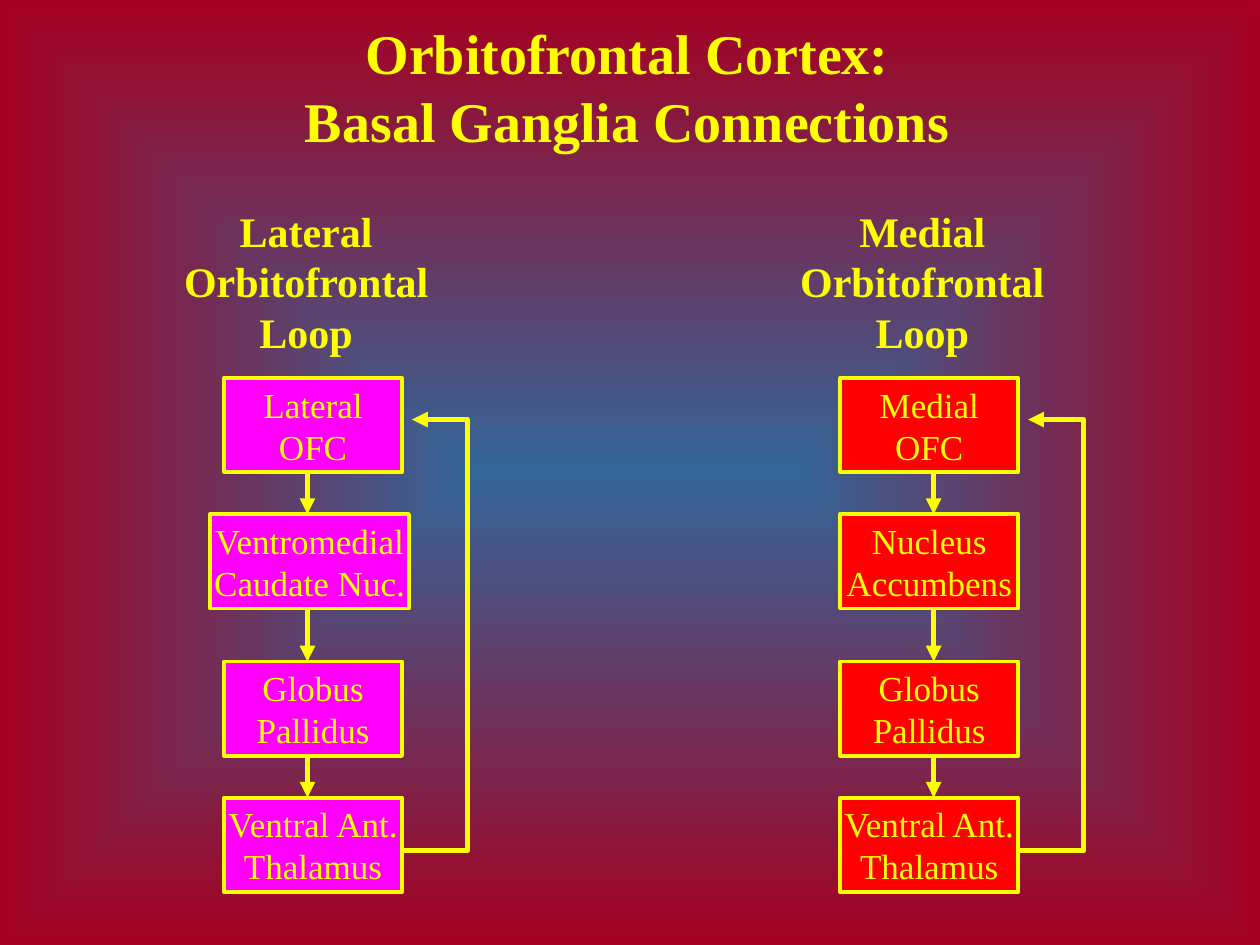
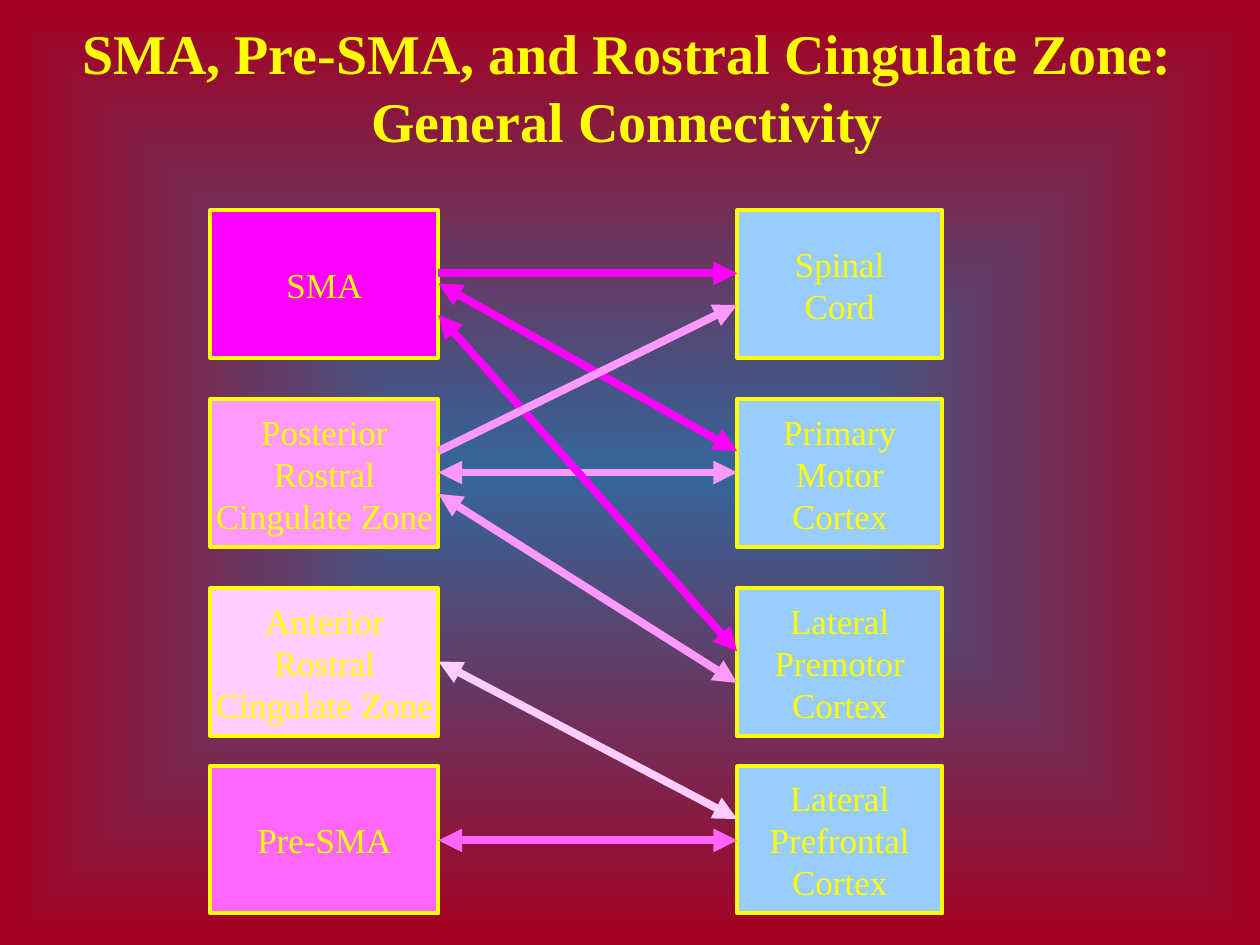
"""Builds two slides on frontal cortex connections."""
from lxml import etree
from pptx import Presentation
from pptx.dml.color import RGBColor
from pptx.enum.shapes import MSO_CONNECTOR, MSO_SHAPE
from pptx.enum.text import MSO_ANCHOR, MSO_AUTO_SIZE, PP_ALIGN
from pptx.oxml.ns import qn
from pptx.util import Inches, Pt

RECT = MSO_SHAPE.RECTANGLE
STRAIGHT = MSO_CONNECTOR.STRAIGHT
TOP, MIDDLE = MSO_ANCHOR.TOP, MSO_ANCHOR.MIDDLE
CENTER = PP_ALIGN.CENTER
NO_FIT = MSO_AUTO_SIZE.NONE

FONT = "Times New Roman"
COLORS = {
    "glow": "336699",
    "edge": "A50021",
    "yellow": "FFFF00",
    "red": "FF0000",
    "magenta": "FF00FF",
    "orchid": "FF66FF",
    "pink": "FF99FF",
    "blush": "FFCCFF",
    "sky": "99CCFF",
}


def rgb(name):
    """Return the named colour."""
    return RGBColor.from_string(COLORS[name])


def set_background(master):
    """Give the master a rectangular gradient from the centre outwards."""
    fill = master.background.fill
    fill.gradient()
    for stop, name in zip(fill.gradient_stops, ("glow", "edge")):
        stop.color.rgb = rgb(name)
    grad = next(master.element.iter(qn("a:gradFill")))
    for lin in grad.findall(qn("a:lin")):
        grad.remove(lin)
    path = etree.SubElement(grad, qn("a:path"), path="rect")
    sides = dict.fromkeys("ltrb", "50000")
    etree.SubElement(path, qn("a:fillToRect"), **sides)


def write(s, text, size, bold=False, anchor=MIDDLE):
    """Write centred yellow text, one paragraph per line."""
    tf = s.text_frame
    tf.text = text
    tf.word_wrap = False
    tf.auto_size = NO_FIT
    tf.vertical_anchor = anchor
    for p in tf.paragraphs:
        p.alignment = CENTER
        p.font.name = FONT
        p.font.size = Pt(size)
        p.font.bold = bold
        p.font.color.rgb = rgb("yellow")


def add_titled_slide(prs, title):
    """Add a title-only slide with its title at the top."""
    slide = prs.slides.add_slide(prs.slide_layouts[5])
    s = slide.shapes.title
    s.left, s.top = Inches(0.55), Inches(0.1)
    s.width, s.height = Inches(8.86), Inches(1.17)
    write(s, title, 32, True, TOP)
    return slide


def add_heading(slide, text, x, y, w, h):
    """Add a bold heading."""
    s = slide.shapes.add_textbox(Inches(x), Inches(y), Inches(w), Inches(h))
    write(s, text, 24, True, TOP)


def add_box(slide, text, x, y, w, h, color):
    """Add a filled box with a yellow outline."""
    s = slide.shapes.add_shape(RECT, Inches(x), Inches(y), Inches(w), Inches(h))
    s.shadow.inherit = False
    s.fill.solid()
    s.fill.fore_color.rgb = rgb(color)
    s.line.color.rgb = rgb("yellow")
    s.line.width = Pt(2.25)
    write(s, text, 20)


def style_line(s, color, width, both=False):
    """Colour a line and put triangles on its end, or on both ends."""
    s.line.color.rgb = rgb(color)
    s.line.width = Pt(width)
    sp_pr = s.element.spPr
    ln = sp_pr.find(qn("a:ln"))
    for end in ("headEnd", "tailEnd") if both else ("tailEnd",):
        etree.SubElement(ln, qn(f"a:{end}"), type="triangle")
    etree.SubElement(sp_pr, qn("a:effectLst"))


def add_arrow(slide, x1, y1, x2, y2, color, width, both=False):
    """Add a straight arrow."""
    s = slide.shapes.add_connector(
        STRAIGHT, Inches(x1), Inches(y1), Inches(x2), Inches(y2))
    style_line(s, color, width, both)


def add_return_arrow(slide, x):
    """Add the bent arrow from the last box of a loop back to the first."""
    points = [(x + 0.52, 6.75), (x + 0.52, 3.33), (x + 0.08, 3.33)]
    fb = slide.shapes.build_freeform(Inches(x), Inches(6.75))
    fb.add_line_segments([(Inches(a), Inches(b)) for a, b in points], close=False)
    s = fb.convert_to_shape()
    s.fill.background()
    style_line(s, "yellow", 3)


def add_loop(slide, heading, stations, x, arrow_x, color):
    """Add a headed column of stations joined into a loop."""
    tops, w, h = (3, 4.08, 5.25, 6.33), 1.41, 0.75
    add_heading(slide, heading, x - 0.42, 1.58, 2.14, 1.3)
    for (text, margin), y in zip(stations, tops):
        add_box(slide, text, x - margin, y, w + 1.5 * margin, h, color)
    for y, next_y in zip(tops, tops[1:]):
        add_arrow(slide, arrow_x, y + h, arrow_x, next_y, "yellow", 3)
    add_return_arrow(slide, x + w)


def build_loops(prs):
    """Build the slide with the two orbitofrontal loops."""
    slide = add_titled_slide(
        prs, "Orbitofrontal Cortex:\nBasal Ganglia Connections")
    shared = [("Globus\nPallidus", 0), ("Ventral Ant.\nThalamus", 0)]
    lateral = [("Lateral\nOFC", 0), ("Ventromedial\nCaudate Nuc.", 0.11)]
    medial = [("Medial\nOFC", 0), ("Nucleus\nAccumbens", 0)]
    add_loop(slide, "Lateral\nOrbitofrontal\nLoop", lateral + shared,
             1.78, 2.44, "magenta")
    add_loop(slide, "Medial\nOrbitofrontal\nLoop", medial + shared,
             6.67, 7.41, "red")


def build_connectivity(prs):
    """Build the slide linking medial areas to their targets."""
    slide = add_titled_slide(
        prs, "SMA, Pre-SMA, and Rostral Cingulate Zone:\nGeneral Connectivity")
    rows = [
        (1.67, "SMA", "magenta", "Spinal\nCord"),
        (3.17, "Posterior\nRostral\nCingulate Zone", "pink",
         "Primary\nMotor\nCortex"),
        (4.67, "Anterior\nRostral\nCingulate Zone", "blush",
         "Lateral\nPremotor\nCortex"),
        (6.08, "Pre-SMA", "orchid", "Lateral\nPrefrontal\nCortex"),
    ]
    for y, area, color, target in rows:
        add_box(slide, area, 1.67, y, 1.81, 1.17, color)
        add_box(slide, target, 5.85, y, 1.63, 1.17, "sky")
    links = [
        (2.17, 2.17, "magenta", False),
        (2.25, 3.58, "magenta", True),
        (3.75, 3.75, "pink", True),
        (2.5, 5.17, "magenta", True),
        (5.25, 6.5, "blush", True),
        (6.67, 6.67, "orchid", True),
        (3.58, 2.42, "pink", False),
        (3.92, 5.42, "pink", True),
    ]
    for y1, y2, color, both in links:
        add_arrow(slide, 3.48, y1, 5.85, y2, color, 4.5, both)


def main():
    """Build and save the presentation."""
    prs = Presentation()
    prs.slide_width, prs.slide_height = Inches(10), Inches(7.5)
    set_background(prs.slide_master)
    build_loops(prs)
    build_connectivity(prs)
    prs.save("out.pptx")


if __name__ == "__main__":
    main()
